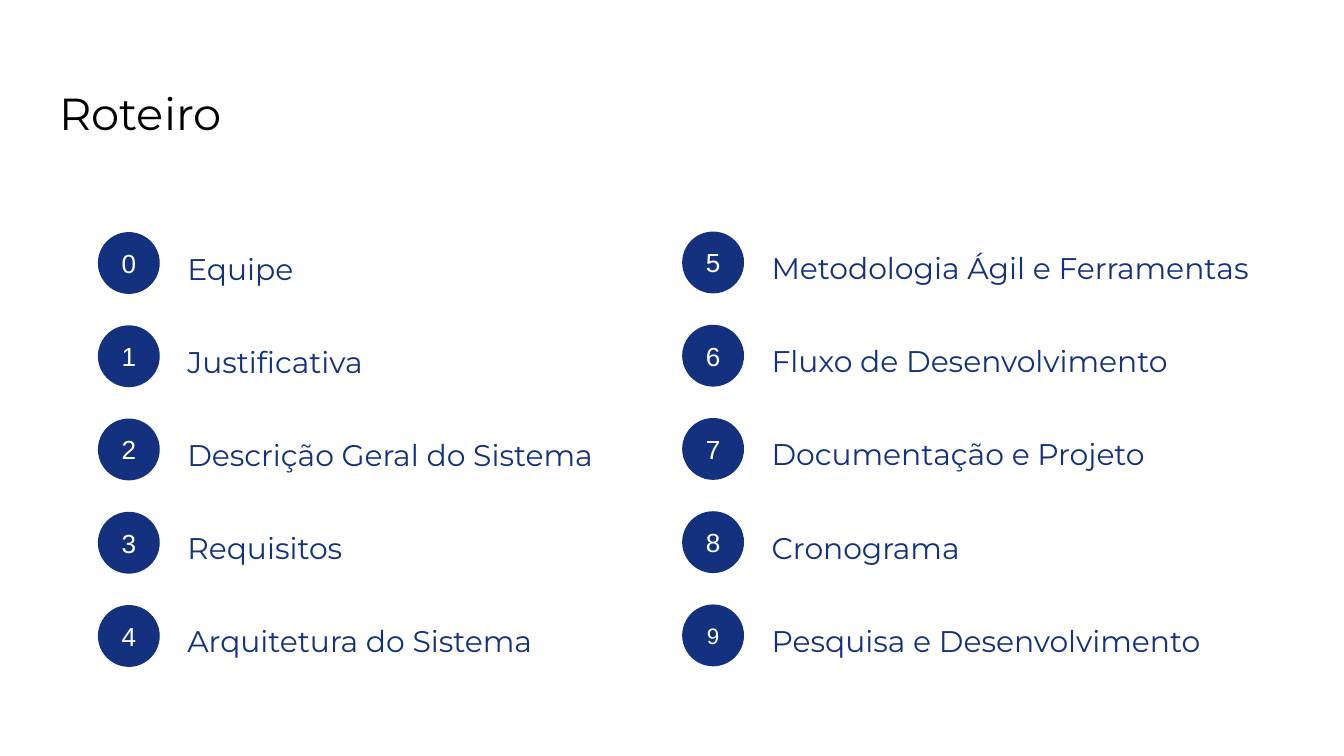
from pptx import Presentation
from pptx.dml.color import RGBColor
from pptx.enum.shapes import MSO_SHAPE
from pptx.enum.text import MSO_ANCHOR, MSO_AUTO_SIZE, PP_ALIGN
from pptx.util import Pt

NAVY = RGBColor(0x13, 0x31, 0x7E)
WHITE = RGBColor(0xFF, 0xFF, 0xFF)
BLACK = RGBColor(0x00, 0x00, 0x00)
OVAL = MSO_SHAPE.OVAL
TOP, MIDDLE, BOTTOM = MSO_ANCHOR.TOP, MSO_ANCHOR.MIDDLE, MSO_ANCHOR.BOTTOM
LEFT, CENTER, JUSTIFY = PP_ALIGN.LEFT, PP_ALIGN.CENTER, PP_ALIGN.JUSTIFY
FIT_SHAPE, NO_FIT = MSO_AUTO_SIZE.SHAPE_TO_FIT_TEXT, MSO_AUTO_SIZE.NONE

INSET = 7.2
BADGE_SIZE = 32.4
LABEL_OFFSET = 40.5
LABEL_RISE = 0.7
LABEL_HEIGHT = 33.8
ROW_PITCH = 49.95

COLUMNS = [
    (52.8, 124.7, [
        ("0", "Equipe", 160.6, 14),
        ("1", "Justificativa", 164.2, 14),
        ("2", "Descrição Geral do Sistema", 238.3, 14),
        ("3", "Requisitos", 166.3, 14),
        ("4", "Arquitetura do Sistema", 205.2, 14),
    ]),
    (365.8, 124.4, [
        ("5", "Metodologia Ágil e Ferramentas", 273.6, 14),
        ("6", "Fluxo de Desenvolvimento", 252, 14),
        ("7", "Documentação e Projeto", 252, 14),
        ("8", "Cronograma", 252, 14),
        ("9", "Pesquisa e Desenvolvimento", 252, 12),
    ]),
]


class AgendaSlide:
    heading_font = "Montserrat"
    number_font = "Arial"

    def __init__(self, presentation):
        self.slide = presentation.slides.add_slide(presentation.slide_layouts[5])

    def set_text(self, frame, text, font, size, color, align, anchor):
        frame.margin_left = frame.margin_right = Pt(INSET)
        frame.margin_top = frame.margin_bottom = Pt(INSET)
        frame.word_wrap = True
        frame.vertical_anchor = anchor
        paragraph = frame.paragraphs[0]
        paragraph.text = text
        paragraph.alignment = align
        paragraph.font.name = font
        paragraph.font.size = Pt(size)
        paragraph.font.color.rgb = color
        return paragraph

    def title(self, text, left, top, width, height):
        heading = self.slide.shapes.title
        heading.left, heading.top = Pt(left), Pt(top)
        heading.width, heading.height = Pt(width), Pt(height)
        self.set_text(heading.text_frame, text, self.heading_font, 24, BLACK, LEFT, BOTTOM)
        heading.text_frame.auto_size = NO_FIT

    def badge(self, group, number, left, top, size):
        circle = group.shapes.add_shape(
            OVAL, Pt(left), Pt(top), Pt(BADGE_SIZE), Pt(BADGE_SIZE))
        circle.shadow.inherit = False
        circle.fill.solid()
        circle.fill.fore_color.rgb = NAVY
        circle.line.color.rgb = NAVY
        circle.line.width = Pt(0.75)
        self.set_text(circle.text_frame, number, self.number_font, size, WHITE, CENTER, MIDDLE)

    def label(self, group, text, left, top, width):
        topic = group.shapes.add_textbox(Pt(left), Pt(top), Pt(width), Pt(LABEL_HEIGHT))
        paragraph = self.set_text(
            topic.text_frame, text, self.heading_font, 16, NAVY, JUSTIFY, TOP)
        paragraph.line_spacing = 1.15
        paragraph.space_after = Pt(12)
        topic.text_frame.auto_size = FIT_SHAPE

    def entry(self, number, text, left, top, width, number_size):
        group = self.slide.shapes.add_group_shape()
        self.badge(group, number, left, top, number_size)
        self.label(group, text, left + LABEL_OFFSET, top - LABEL_RISE, width)


def main():
    presentation = Presentation()
    presentation.slide_width, presentation.slide_height = Pt(720), Pt(405)
    agenda = AgendaSlide(presentation)
    agenda.title("Roteiro", 24.5, 22.3, 221, 59.8)
    for left, first_top, entries in COLUMNS:
        for row, (number, text, width, number_size) in enumerate(entries):
            agenda.entry(number, text, left, first_top + row * ROW_PITCH, width, number_size)
    presentation.save("out.pptx")


if __name__ == "__main__":
    main()
